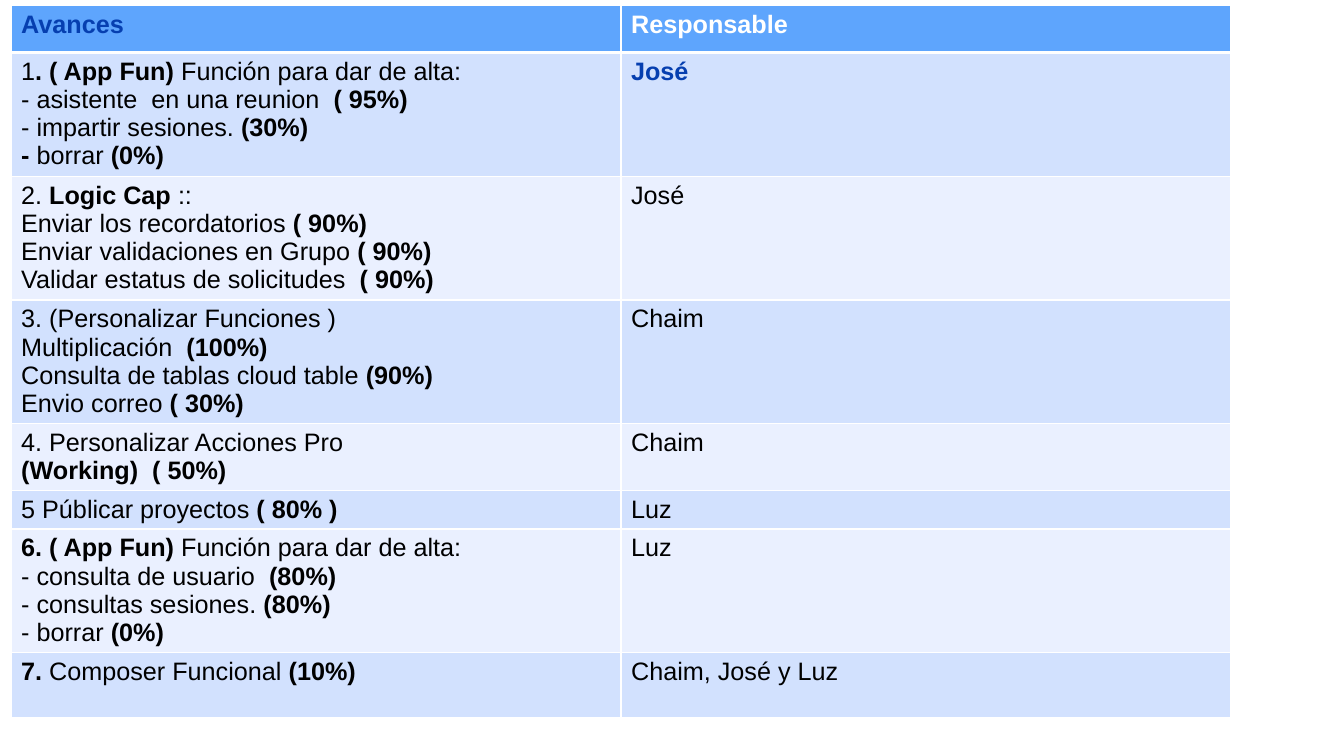
from dataclasses import dataclass
from lxml.etree import SubElement
from pptx import Presentation
from pptx.dml.color import RGBColor as RGB
from pptx.oxml.ns import qn
from pptx.util import Cm, Pt


@dataclass
class Theme:
    head: str = "5EA5FD"
    odd: str = "D2E1FE"
    even: str = "EAF0FF"
    blue: str = "063FB0"
    white: str = "FFFFFF"
    black: str = "000000"
    font: str = "Arial"
    size: int = 18
    thin: int = 1
    thick: int = 3


theme = Theme()

tasks = [
    (1.19, ["*Avances*"], "*Responsable*"),
    (3.12, ["1*. ( App Fun) *Función para dar de alta:",
            "- asistente  en una reunion  *( 95%)*",
            "- impartir sesiones. *(30%)*",
            "*- *borrar* (0%)*"], "*José*"),
    (3.12, ["2. *Logic Cap *::",
            "Enviar los recordatorios *( 90%)*",
            "Enviar validaciones en Grupo *( 90%)*",
            "Validar estatus de solicitudes  *( 90%)*"], "José"),
    (3.12, ["3. (Personalizar Funciones )",
            "Multiplicación  *(100%)*",
            "Consulta de tablas cloud table *(90%)*",
            "Envio correo* ( 30%)*"], "Chaim"),
    (1.68, ["4. Personalizar Acciones Pro",
            "*(Working)  ( 50%)*"], "Chaim"),
    (0.97, ["5 Públicar proyectos* ( 80% )*"], "Luz"),
    (3.12, ["*6. ( App Fun) *Función para dar de alta:",
            "- consulta de usuario  *(80%)*",
            "- consultas sesiones. *(80%)*",
            "- borrar* (0%)*"], "Luz"),
    (1.63, ["*7. *Composer Funcional *(10%)*"], "Chaim, José y Luz"),
]
tints = {(0, 0): theme.blue, (0, 1): theme.white, (1, 1): theme.blue}


def edge(cell, side, width):
    line = SubElement(cell._tc.get_or_add_tcPr(), qn("a:" + side), w=str(Pt(width)))
    fill = SubElement(line, qn("a:solidFill"))
    SubElement(fill, qn("a:srgbClr"), val=theme.white)


def write(cell, lines, tint):
    frame = cell.text_frame
    for i, text in enumerate(lines):
        para = frame.add_paragraph() if i else frame.paragraphs[0]
        for j, part in enumerate(text.split("*")):
            if part:
                run = para.add_run()
                run.text = part
                run.font.name = theme.font
                run.font.size = Pt(theme.size)
                run.font.bold = j % 2 == 1
                run.font.color.rgb = RGB.from_string(tint)


deck = Presentation()
deck.slide_width, deck.slide_height = Cm(33.87), Cm(19.05)
slide = deck.slides.add_slide(deck.slide_layouts[6])

total = sum(task[0] for task in tasks)
table = slide.shapes.add_table(
    len(tasks), 2, Cm(0.28), Cm(0.13), Cm(30.74), Cm(total)).table
for col in table.columns:
    col.width = Cm(15.37)

for r, (height, left, right) in enumerate(tasks):
    table.rows[r].height = Cm(height)
    back = theme.head if r == 0 else theme.odd if r % 2 else theme.even
    for c, lines in enumerate((left, [right])):
        cell = table.cell(r, c)
        edge(cell, "lnL", theme.thin)
        edge(cell, "lnR", theme.thin)
        edge(cell, "lnT", theme.thick if r == 1 else theme.thin)
        edge(cell, "lnB", theme.thick if r == 0 else theme.thin)
        cell.fill.solid()
        cell.fill.fore_color.rgb = RGB.from_string(back)
        write(cell, lines, tints.get((r, c), theme.black))

deck.save("out.pptx")
